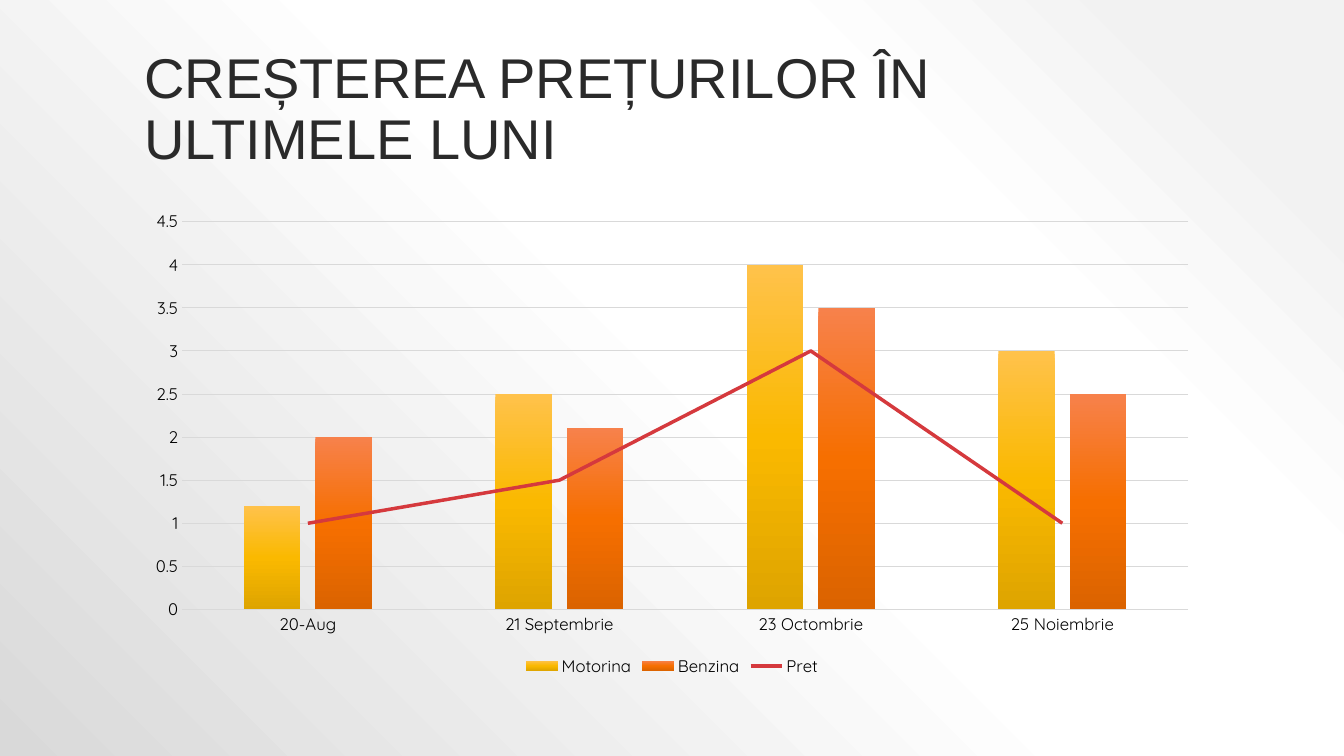
from lxml.etree import SubElement
from pptx import Presentation
from pptx.chart.data import CategoryChartData
from pptx.dml.color import RGBColor
from pptx.enum.chart import XL_CHART_TYPE as ChartType
from pptx.enum.chart import XL_LEGEND_POSITION as LegendPosition
from pptx.enum.chart import XL_MARKER_STYLE as MarkerStyle
from pptx.enum.chart import XL_TICK_MARK as TickMark
from pptx.enum.text import MSO_ANCHOR as Anchor
from pptx.oxml import parse_xml
from pptx.oxml.ns import nsdecls, qn
from pptx.util import Pt

COLORS = {
    "title": "2A2A2A", "label": "000000", "grid": "D9D9D9", "price": "D5393D",
}
BACKGROUND_STOPS = [(10, "F2F2F2"), (28, "FFFFFF"), (48, "FFFFFF"), (100, "D9D9D9")]
COLUMN_STOPS = [
    [(0, "FFC24B"), (50, "FAB900"), (100, "DEA400")],
    [(0, "F7814B"), (50, "F66F00"), (100, "DB6300")],
]
DOWNWARD = '<a:lin ang="5400000" scaled="0"/>'
FROM_TOP_RIGHT = '<a:path path="circle"><a:fillToRect l="100000" b="100000"/></a:path>'

MONTHS = ["20-Aug", "21 Septembrie", "23 Octombrie", "25 Noiembrie"]
PRICES = {
    "Motorina": [1.2, 2.5, 4, 3],
    "Benzina": [2, 2.1, 3.5, 2.5],
    "Pret": [1, 1.5, 3, 1],
}


def rgb(name):
    return RGBColor.from_string(COLORS[name])


def set_gradient(fill, owner, stops, direction):
    """Swap a solid fill for a gradient with the given stops."""
    fill.solid()
    stop_xml = "".join(
        f'<a:gs pos="{position * 1000}"><a:srgbClr val="{color}"/></a:gs>'
        for position, color in stops)
    gradient = parse_xml(
        f'<a:gradFill {nsdecls("a")} rotWithShape="1">'
        f'<a:gsLst>{stop_xml}</a:gsLst>{direction}</a:gradFill>')
    solid = next(owner.iter(qn("a:solidFill")))
    solid.getparent().replace(solid, gradient)


def style_font(font, name, size, color):
    font.name, font.size, font.bold = name, Pt(size), False
    font.color.rgb = rgb(color)


def style_line(line, color, width):
    line.color.rgb = rgb(color)
    line.width = Pt(width)


def add_background(page):
    set_gradient(page.background.fill, page.element.cSld, BACKGROUND_STOPS, FROM_TOP_RIGHT)


def add_title(page, left, top, width, height):
    box = page.shapes.add_textbox(Pt(left), Pt(top), Pt(width), Pt(height))
    frame = box.text_frame
    frame.word_wrap = True
    frame.vertical_anchor = Anchor.BOTTOM
    para = frame.paragraphs[0]
    para.text = "CREȘTEREA PREȚURILOR ÎN ULTIMELE LUNI"
    para.line_spacing = 0.9
    style_font(para.font, "Arial", 40, "title")


def move_last_series_to_line(chart):
    """Draw the last column series as a line on the same axes."""
    columns = chart.plots[0]._element
    series = columns.findall(qn("c:ser"))[-1]
    lines = parse_xml(
        f'<c:lineChart {nsdecls("c")}><c:grouping val="standard"/>'
        '<c:varyColors val="0"/></c:lineChart>')
    columns.addnext(lines)
    for column_only in series.findall(qn("c:invertIfNegative")):
        series.remove(column_only)
    lines.append(series)
    SubElement(lines, qn("c:marker")).set("val", "1")
    for axis in columns.findall(qn("c:axId")):
        SubElement(lines, qn("c:axId")).set("val", axis.get("val"))


def add_price_chart(page, left, top, width, height):
    data = CategoryChartData()
    data.categories = MONTHS
    for name, values in PRICES.items():
        data.add_series(name, values)
    chart = page.shapes.add_chart(
        ChartType.COLUMN_CLUSTERED, Pt(left), Pt(top), Pt(width), Pt(height), data).chart
    style_font(chart.font, "Quicksand", 12, "label")
    chart.has_title = False
    chart.has_legend = True
    chart.legend.position = LegendPosition.BOTTOM
    chart.legend.include_in_layout = False
    style_font(chart.legend.font, "Quicksand", 12, "label")

    # Axes and gridlines
    months, values = chart.category_axis, chart.value_axis
    for axis in (months, values):
        axis.major_tick_mark = axis.minor_tick_mark = TickMark.NONE
        style_font(axis.tick_labels.font, "Quicksand", 12, "label")
    style_line(months.format.line, "grid", 0.75)
    values.format.line.fill.background()
    values.minimum_scale, values.maximum_scale, values.major_unit = 0, 4.5, 0.5
    values.has_major_gridlines = True
    style_line(values.major_gridlines.format.line, "grid", 0.75)

    # Fuel columns and the price line
    move_last_series_to_line(chart)
    columns, lines = list(chart.plots)
    columns.gap_width, columns.overlap = 219, -27
    columns.vary_by_categories = False
    for series, stops in zip(columns.series, COLUMN_STOPS):
        set_gradient(series.format.fill, series._element, stops, DOWNWARD)
    price = lines.series[0]
    price.smooth = False
    price.marker.style = MarkerStyle.NONE
    style_line(price.format.line, "price", 2.5)


def build_price_slide(deck):
    page = deck.slides.add_slide(deck.slide_layouts[6])
    add_background(page)
    add_title(page, 96, 21.6, 768, 104.4)
    add_price_chart(page, 96, 144, 768, 342)


deck = Presentation()
deck.slide_width, deck.slide_height = Pt(960), Pt(540)
build_price_slide(deck)
deck.save("out.pptx")
